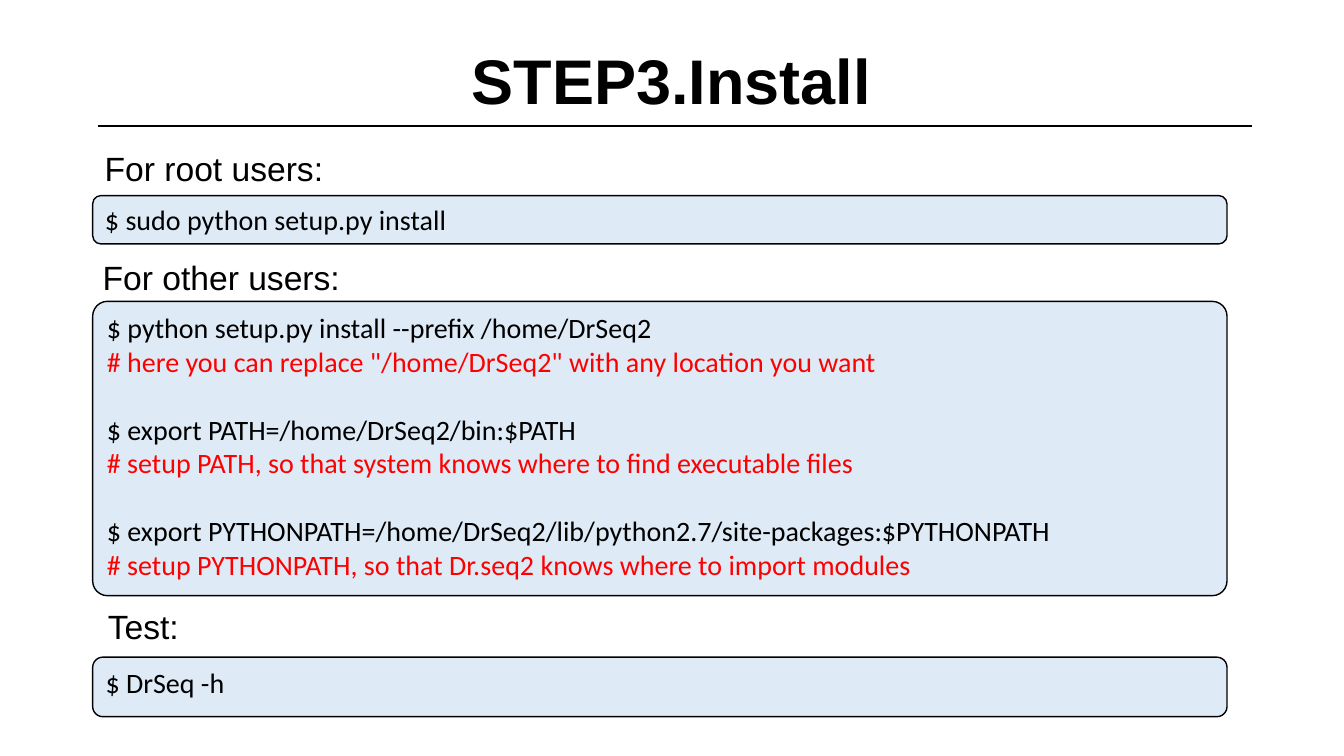
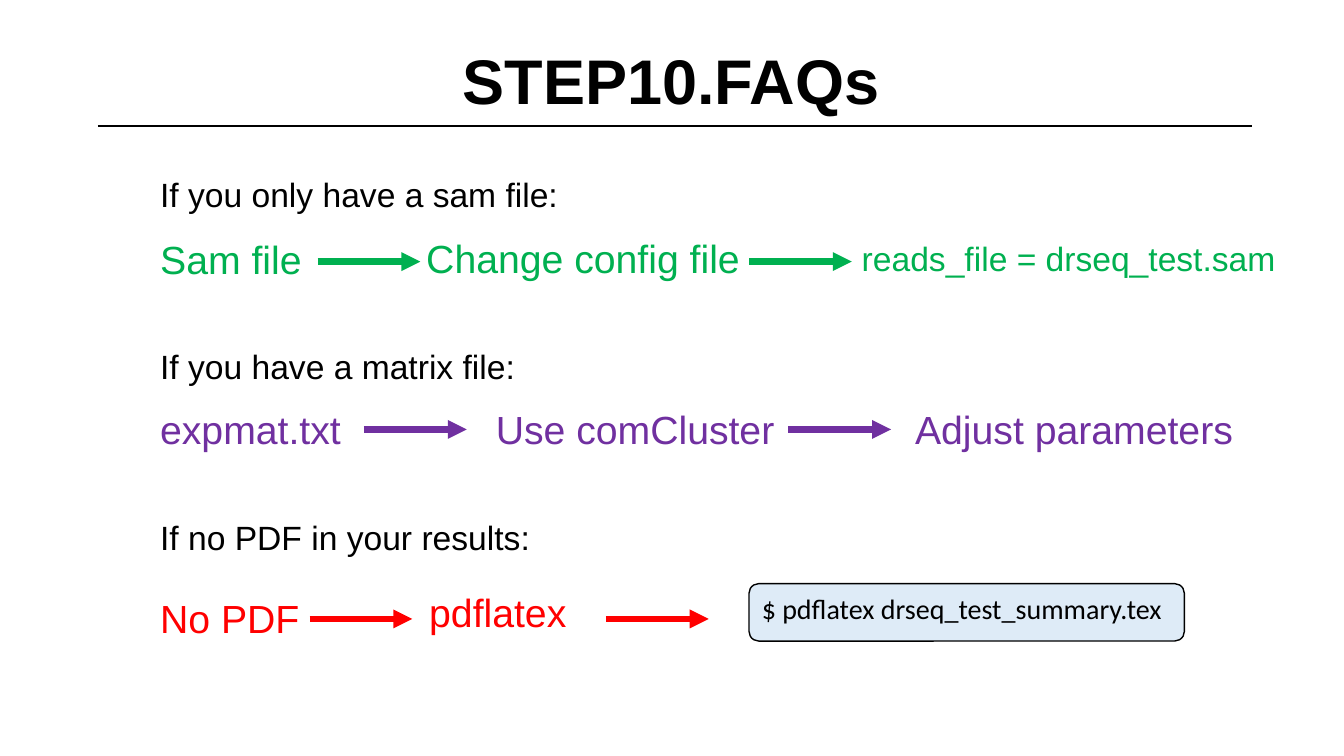
import pptx
import pptx.dml.color
import pptx.enum.shapes
import pptx.enum.text
import pptx.oxml.ns
import pptx.util
from lxml import etree

SLIDE_WIDTH = pptx.util.Inches(13.33)
SLIDE_HEIGHT = pptx.util.Inches(7.5)

INK = "000000"
RED = "FF0000"
GREEN = "00B050"
PURPLE = "7030A0"
PANEL = "DEEBF7"
HEADING_FONT = "Arial"
CODE_FONT = "Calibri"
CODE_SIZE = 20
CODE_GAP = 24.4
STEP_SIZE = 28
LABEL_SIZE = 24

CODE_LEFT = 6.9
CODE_WIDTH = 84.4
QUESTION_LEFT = 11.18
QUESTION_TOP = 22.4
QUESTION_PITCH = 22.67
ARROW_LENGTH = 7.65

INSTALL_SECTIONS = [
    ("For root users:", 7.05, 19.47, 25.87, 6.4, 0.17,
     [["$ sudo python setup.py install"]]),
    ("For other users:", 6.9, 33.87, 39.87, 38.93, 0.05,
     [["$ python setup.py install --prefix /home/DrSeq2",
       '# here you can replace "/home/DrSeq2" with any location you want'],
      ["$ export PATH=/home/DrSeq2/bin:$PATH",
       "# setup PATH, so that system knows where to find executable files"],
      ["$ export PYTHONPATH=/home/DrSeq2/lib/python2.7/site-packages:$PYTHONPATH",
       "# setup PYTHONPATH, so that Dr.seq2 knows where to import modules"]]),
    ("Test:", 7.28, 80.13, 86.93, 7.87, 0.17, [["$ DrSeq -h"]]),
]

FAQS = [
    ("If you only have a sam file:", GREEN, 34.6, [23.63, 55.73],
     [("Sam file", 11.18, 30.53, 13.5, STEP_SIZE),
      ("Change config file", 30.98, 30.4, 25.5, STEP_SIZE),
      ("reads_file = drseq_test.sam", 63.38, 30.8, 36, LABEL_SIZE)]),
    ("If you have a matrix file:", PURPLE, 56.8, [27.08, 58.65],
     [("expmat.txt", 11.18, 52.93, 15.5, STEP_SIZE),
      ("Use comCluster", 36.15, 52.93, 23, STEP_SIZE),
      ("Adjust parameters", 67.35, 52.93, 26, STEP_SIZE)]),
    ("If no PDF in your results:", RED, 81.87, [23.03, 45.08],
     [("No PDF", 11.18, 78, 12.5, STEP_SIZE),
      ("pdflatex", 31.2, 77.2, 12.5, STEP_SIZE)]),
]


def color(value):
    return pptx.dml.color.RGBColor.from_string(value)


def across(percent):
    return round(SLIDE_WIDTH * percent / 100)


def down(percent):
    return round(SLIDE_HEIGHT * percent / 100)


def area(left, top, width, height):
    return across(left), down(top), across(width), down(height)


def style_runs(paragraph, font, size, ink, bold=False):
    for run in paragraph.runs:
        run.font.name = font
        run.font.size = pptx.util.Pt(size)
        run.font.bold = bold
        run.font.color.rgb = color(ink)


def add_label(slide, text, left, top, width, size, ink=INK, line_spacing=1.0):
    label = slide.shapes.add_textbox(*area(left, top, width, size * 0.27))
    frame = label.text_frame
    frame.word_wrap = True
    frame.auto_size = pptx.enum.text.MSO_AUTO_SIZE.SHAPE_TO_FIT_TEXT
    frame.text = text
    frame.paragraphs[0].line_spacing = line_spacing
    style_runs(frame.paragraphs[0], HEADING_FONT, size, ink)


def add_line(slide, left, right, level, ink, weight, arrow=False):
    line = slide.shapes.add_connector(
        pptx.enum.shapes.MSO_CONNECTOR.STRAIGHT,
        across(left), down(level), across(right), down(level))
    line.line.color.rgb = color(ink)
    line.line.width = pptx.util.Pt(weight)
    if arrow:
        etree.SubElement(line.line._get_or_add_ln(),
                         pptx.oxml.ns.qn("a:tailEnd"), type="triangle")
    etree.SubElement(line._element.spPr, pptx.oxml.ns.qn("a:effectLst"))


def add_code(slide, blocks, left, top, width, height, corner=0.17):
    panel = slide.shapes.add_shape(
        pptx.enum.shapes.MSO_SHAPE.ROUNDED_RECTANGLE,
        *area(left, top, width, height))
    panel.adjustments[0] = corner
    panel.shadow.inherit = False
    panel.fill.solid()
    panel.fill.fore_color.rgb = color(PANEL)
    panel.line.color.rgb = color(INK)
    panel.line.width = pptx.util.Pt(1)
    frame = panel.text_frame
    frame.word_wrap = True
    frame.vertical_anchor = pptx.enum.text.MSO_ANCHOR.TOP
    frame.text = "\n".join(line for block in blocks for line in block)
    openings = [block[0] for block in blocks[1:]]
    for paragraph in frame.paragraphs:
        paragraph.alignment = pptx.enum.text.PP_ALIGN.LEFT
        if paragraph.text in openings:
            paragraph.space_before = pptx.util.Pt(CODE_GAP)
        ink = RED if paragraph.text.startswith("#") else INK
        style_runs(paragraph, CODE_FONT, CODE_SIZE, ink)


def add_titled_slide(deck, title):
    slide = deck.slides.add_slide(deck.slide_layouts[6])
    add_line(slide, 7.28, 93.15, 16.67, INK, 2)
    heading = slide.shapes.add_textbox(*area(7.05, 4.4, 85.8, 12.27))
    frame = heading.text_frame
    frame.word_wrap = True
    frame.vertical_anchor = pptx.enum.text.MSO_ANCHOR.MIDDLE
    frame.text = title
    frame.paragraphs[0].alignment = pptx.enum.text.PP_ALIGN.CENTER
    style_runs(frame.paragraphs[0], HEADING_FONT, 45, INK, bold=True)
    return slide


def add_install_slide(deck):
    slide = add_titled_slide(deck, "STEP3.Install")
    for users, left, top, code_top, code_height, corner, blocks in INSTALL_SECTIONS:
        add_code(slide, blocks, CODE_LEFT, code_top, CODE_WIDTH, code_height, corner)
        add_label(slide, users, left, top, 30, LABEL_SIZE, line_spacing=0.9)


def add_faq_slide(deck):
    slide = add_titled_slide(deck, "STEP10.FAQs")
    for row, (question, ink, arrow_level, arrows, steps) in enumerate(FAQS):
        add_label(slide, question, QUESTION_LEFT,
                  QUESTION_TOP + row * QUESTION_PITCH, 56, LABEL_SIZE)
        for step, left, top, width, size in steps:
            add_label(slide, step, left, top, width, size, ink)
        for start in arrows:
            add_line(slide, start, start + ARROW_LENGTH, arrow_level, ink, 4.5, arrow=True)
    add_code(slide, [["$ pdflatex drseq_test_summary.tex"]], 55.73, 77.2, 32.4, 7.6)


def main():
    deck = pptx.Presentation()
    deck.slide_width = SLIDE_WIDTH
    deck.slide_height = SLIDE_HEIGHT
    add_install_slide(deck)
    add_faq_slide(deck)
    deck.save("out.pptx")


if __name__ == "__main__":
    main()
